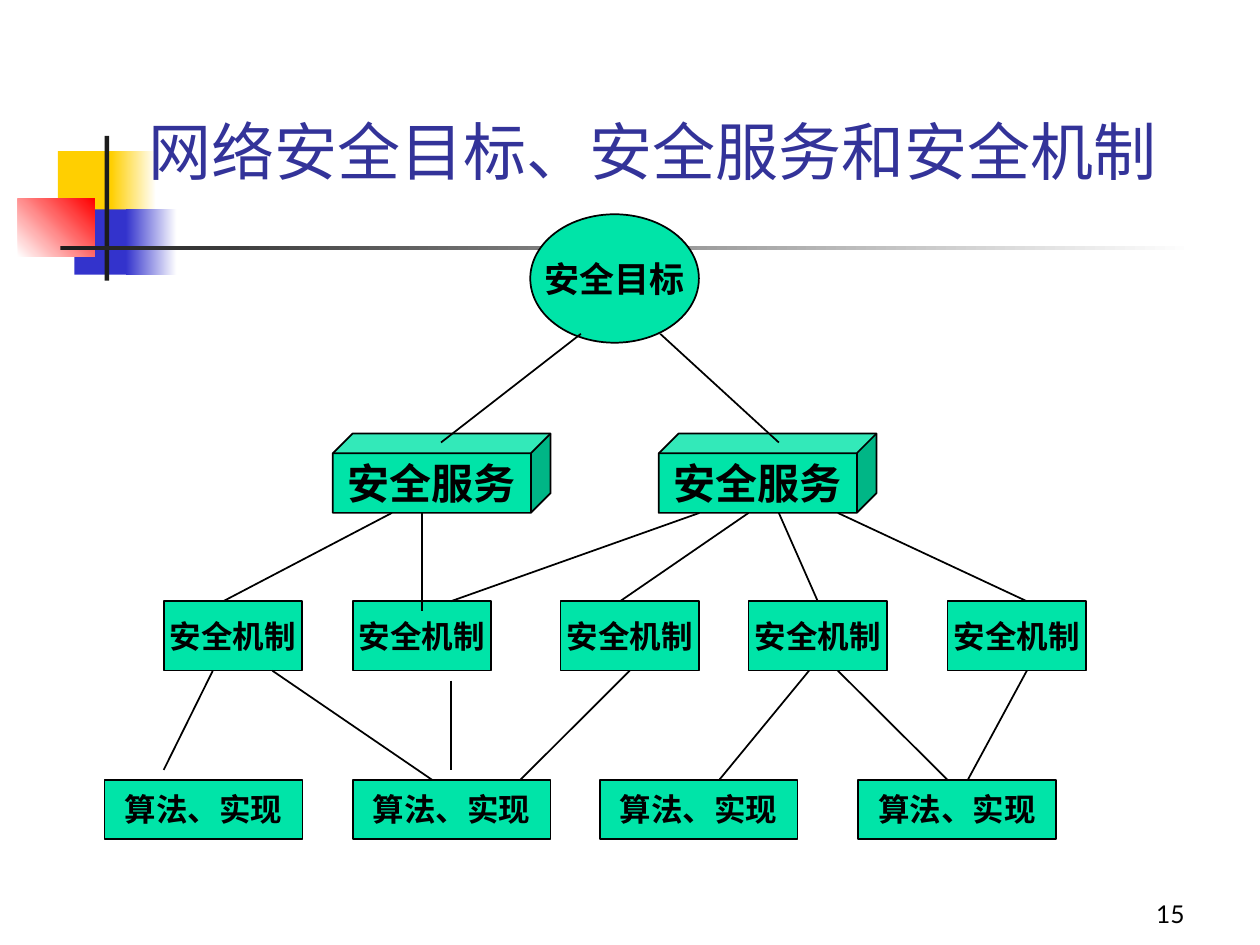
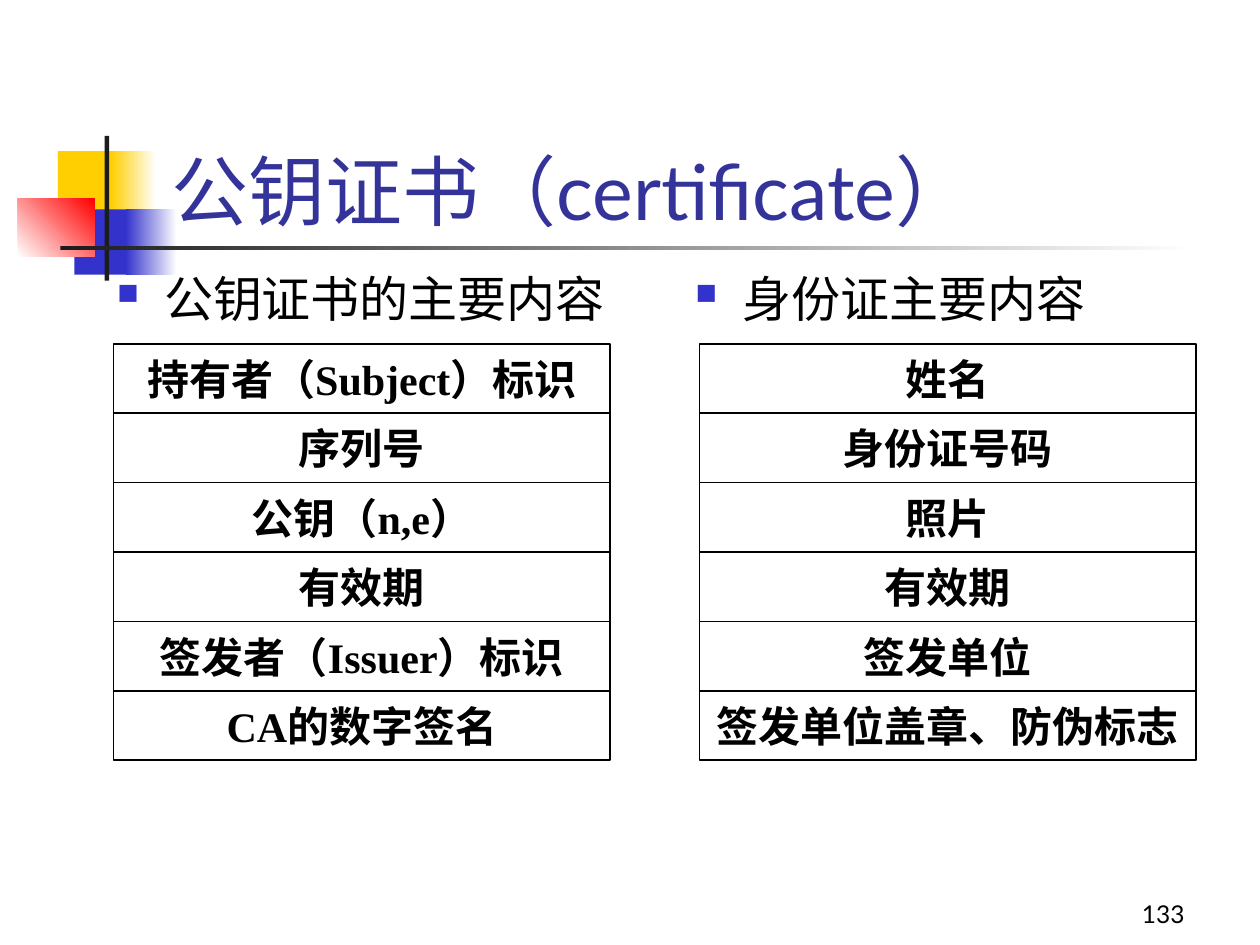
from dataclasses import dataclass
from typing import Optional

from lxml import etree
from pptx import Presentation
from pptx import util as u
from pptx.dml.color import RGBColor
from pptx.enum import shapes, text
from pptx.oxml.ns import qn

BLACK, WHITE, TITLE_BLUE = "000000", "FFFFFF", "333399"
YELLOW, BLUE, RED, BAR = "FFCF01", "3333CC", "FF0000", "1C1C1C"
GREEN = "00E4A8"
SERIF, SANS, COMIC = "Times New Roman", "Lato", "Comic Neue"
RECT, CUBE, OVAL = (shapes.MSO_SHAPE.RECTANGLE, shapes.MSO_SHAPE.CUBE,
                    shapes.MSO_SHAPE.OVAL)
TOP, BOTTOM = 0, 2


@dataclass(frozen=True)
class Area:
    """Position and size in centimetres."""
    left: float
    top: float
    width: float
    height: float

    def lengths(self) -> tuple:
        return tuple(u.Cm(v) for v in (self.left, self.top, self.width, self.height))


@dataclass(frozen=True)
class Patch:
    """Decoration block, plain or fading from start to end colour."""
    area: Area
    start: str
    end: Optional[str] = None
    angle: int = 0


@dataclass(frozen=True)
class Style:
    size: float
    font: str
    colour: str = BLACK
    bold: bool = False
    align: text.PP_ALIGN = text.PP_ALIGN.LEFT


@dataclass(frozen=True)
class Box:
    area: Area
    label: str
    size: float
    fill: Optional[str] = GREEN
    kind: shapes.MSO_SHAPE = RECT


@dataclass(frozen=True)
class Link:
    """Line in centimetres; from_box and to_box index the mechanism it joins."""
    x1: float
    y1: float
    x2: float
    y2: float
    from_box: Optional[int] = None
    to_box: Optional[int] = None


DECORATION = [
    Patch(Area(1.17, 3.05, 1.22, 1.32), YELLOW),
    Patch(Area(2.24, 3.05, 0.91, 1.32), YELLOW, WHITE),
    Patch(Area(1.5, 4.22, 1.17, 1.32), BLUE),
    Patch(Area(2.54, 4.22, 1.02, 1.32), BLUE, WHITE),
    Patch(Area(0.36, 4.01, 1.55, 1.17), WHITE, RED, 45),
    Patch(Area(2.11, 2.74, 0.09, 2.92), BAR),
    Patch(Area(1.22, 4.95, 22.86, 0.09), BAR, WHITE),
]
PAGE_NUMBER = Area(18.85, 17.58, 5.28, 1.27)

# Levels of the security tree
SERVICE_Y, SERVICE_H = 8.74, 1.6
MECHANISM_Y, MECHANISM_H = 12.12, 1.4
ALGORITHM_Y, ALGORITHM_H = 15.72, 1.19
SERVICE_END = SERVICE_Y + SERVICE_H
MECHANISM_END = MECHANISM_Y + MECHANISM_H
GOAL = Box(Area(10.69, 4.32, 3.4, 2.59), "安全目标", 20, kind=OVAL)
SERVICES = [Box(Area(x, SERVICE_Y, 4.39, SERVICE_H), "安全服务", 24, kind=CUBE)
            for x in (6.71, 13.28)]
MECHANISMS = [Box(Area(x, MECHANISM_Y, 2.79, MECHANISM_H), "安全机制", 18)
              for x in (3.3, 7.11, 11.3, 15.09, 19.1)]
ALGORITHMS = [Box(Area(x, ALGORITHM_Y, 3.99, ALGORITHM_H), "算法、实现", 18)
              for x in (2.11, 7.11, 12.09, 17.3)]
LINKS = [
    Link(11.71, 6.73, 8.89, 8.92),
    Link(13.31, 6.73, 15.7, 8.92),
    Link(7.9, SERVICE_END, 4.5, MECHANISM_Y),
    Link(8.51, SERVICE_END, 8.51, MECHANISM_Y + 0.2),
    Link(15.09, SERVICE_END, 12.5, MECHANISM_Y),
    Link(14.1, SERVICE_END, 9.09, MECHANISM_Y),
    Link(15.7, SERVICE_END, 16.51, MECHANISM_Y, to_box=3),
    Link(16.89, SERVICE_END, 20.7, MECHANISM_Y),
    Link(4.29, MECHANISM_END, 3.3, ALGORITHM_Y - 0.2),
    Link(5.49, MECHANISM_END, 8.71, ALGORITHM_Y),
    Link(9.09, MECHANISM_END + 0.2, 9.09, ALGORITHM_Y - 0.2),
    Link(12.7, MECHANISM_END, 10.49, ALGORITHM_Y, from_box=2),
    Link(16.31, MECHANISM_END, 14.5, ALGORITHM_Y),
    Link(16.89, MECHANISM_END, 19.1, ALGORITHM_Y),
    Link(20.7, MECHANISM_END, 19.51, ALGORITHM_Y),
]

FIELD_TOP, FIELD_W, FIELD_H = 6.93, 10.01, 1.4
CERTIFICATE_FIELDS = ["持有者（Subject）标识", "序列号", "公钥（n,e）", "有效期",
                      "签发者（Issuer）标识", "CA的数字签名"]
ID_CARD_FIELDS = ["姓名", "身份证号码", "照片", "有效期", "签发单位",
                  "签发单位盖章、防伪标志"]


def rgb(colour: str) -> RGBColor:
    return RGBColor.from_string(colour)


def style_paragraph(paragraph, style: Style) -> None:
    paragraph.alignment = style.align
    font = paragraph.font
    font.size, font.name, font.bold = u.Pt(style.size), style.font, style.bold
    font.color.rgb = rgb(style.colour)


def add_bullet(paragraph) -> None:
    props = paragraph._p.get_or_add_pPr()
    props.set("marL", str(u.Cm(0.95)))
    props.set("indent", str(u.Cm(-0.95)))
    colour = etree.SubElement(props, qn("a:buClr"))
    etree.SubElement(colour, qn("a:srgbClr"), val=BLUE)
    etree.SubElement(props, qn("a:buSzPct"), val="60000")
    etree.SubElement(props, qn("a:buChar"), char="■")


def add_text(slide, area: Area, words: str, style: Style,
             anchor=text.MSO_ANCHOR.BOTTOM, bullet: bool = False) -> None:
    frame = slide.shapes.add_textbox(*area.lengths()).text_frame
    frame.word_wrap = True
    frame.vertical_anchor = anchor
    paragraph = frame.paragraphs[0]
    paragraph.text = words
    if bullet:
        add_bullet(paragraph)
    style_paragraph(paragraph, style)


def add_patch(slide, patch: Patch) -> None:
    block = slide.shapes.add_shape(RECT, *patch.area.lengths())
    block.shadow.inherit = False
    block.line.fill.background()
    if patch.end is None:
        block.fill.solid()
        block.fill.fore_color.rgb = rgb(patch.start)
        return
    block.fill.gradient()
    block.fill.gradient_angle = patch.angle
    for stop, colour in zip(block.fill.gradient_stops, (patch.start, patch.end)):
        stop.color.rgb = rgb(colour)


def add_box(slide, box: Box):
    shape = slide.shapes.add_shape(box.kind, *box.area.lengths())
    shape.shadow.inherit = False
    if box.kind == CUBE:
        shape.adjustments[0] = 0.25
    if box.fill is None:
        shape.fill.background()
    else:
        shape.fill.solid()
        shape.fill.fore_color.rgb = rgb(box.fill)
    shape.line.color.rgb = rgb(BLACK)
    shape.line.width = u.Pt(1)
    frame = shape.text_frame
    frame.word_wrap = False
    frame.vertical_anchor = text.MSO_ANCHOR.MIDDLE
    frame.paragraphs[0].text = box.label
    style_paragraph(frame.paragraphs[0],
                    Style(box.size, SERIF, bold=True, align=text.PP_ALIGN.CENTER))
    return shape


def add_link(slide, link: Link, mechanisms: list) -> None:
    ends = (u.Cm(v) for v in (link.x1, link.y1, link.x2, link.y2))
    line = slide.shapes.add_connector(shapes.MSO_CONNECTOR.STRAIGHT, *ends)
    line.line.color.rgb = rgb(BLACK)
    line.line.width = u.Pt(1)
    etree.SubElement(line._element.spPr, qn("a:effectLst"))
    if link.from_box is not None:
        line.begin_connect(mechanisms[link.from_box], BOTTOM)
    if link.to_box is not None:
        line.end_connect(mechanisms[link.to_box], TOP)


def start_slide(prs, number: int, title: str, title_area: Area,
                title_size: float, title_font: str):
    """Add a blank slide with the decoration, page number and title."""
    slide = prs.slides.add_slide(prs.slide_layouts[6])
    for patch in DECORATION:
        add_patch(slide, patch)
    add_text(slide, PAGE_NUMBER, str(number),
             Style(14, SANS, align=text.PP_ALIGN.RIGHT))
    add_text(slide, title_area, title, Style(title_size, title_font, TITLE_BLUE))
    return slide


def build_security_tree(prs) -> None:
    slide = start_slide(prs, 15, "网络安全目标、安全服务和安全机制",
                        Area(2.74, 1.9, 21.59, 2.01), 36, COMIC)
    for box in [GOAL, *SERVICES, *ALGORITHMS]:
        add_box(slide, box)
    mechanisms = [add_box(slide, box) for box in MECHANISMS]
    for link in LINKS:
        add_link(slide, link, mechanisms)


def add_field_list(slide, heading: str, heading_left: float, left: float,
                   fields: list[str], fill: Optional[str]) -> None:
    """Draw a bulleted heading above a stack of field boxes."""
    add_text(slide, Area(heading_left, 5.28, 10.59, 11.43), heading,
             Style(28, SANS), text.MSO_ANCHOR.TOP, bullet=True)
    for row, field in enumerate(fields):
        area = Area(left, FIELD_TOP + row * FIELD_H, FIELD_W, FIELD_H)
        add_box(slide, Box(area, field, 24, fill))


def build_certificate(prs) -> None:
    slide = start_slide(prs, 133, "公钥证书（certificate）",
                        Area(3.2, 1.7, 21.64, 3.18), 44, SANS)
    add_field_list(slide, "公钥证书的主要内容", 2.11, 2.29, CERTIFICATE_FIELDS, WHITE)
    add_field_list(slide, "身份证主要内容", 13.77, 14.1, ID_CARD_FIELDS, None)


def main() -> None:
    prs = Presentation()
    prs.slide_width, prs.slide_height = u.Cm(25.4), u.Cm(19.05)
    build_security_tree(prs)
    build_certificate(prs)
    prs.save("out.pptx")


if __name__ == "__main__":
    main()
